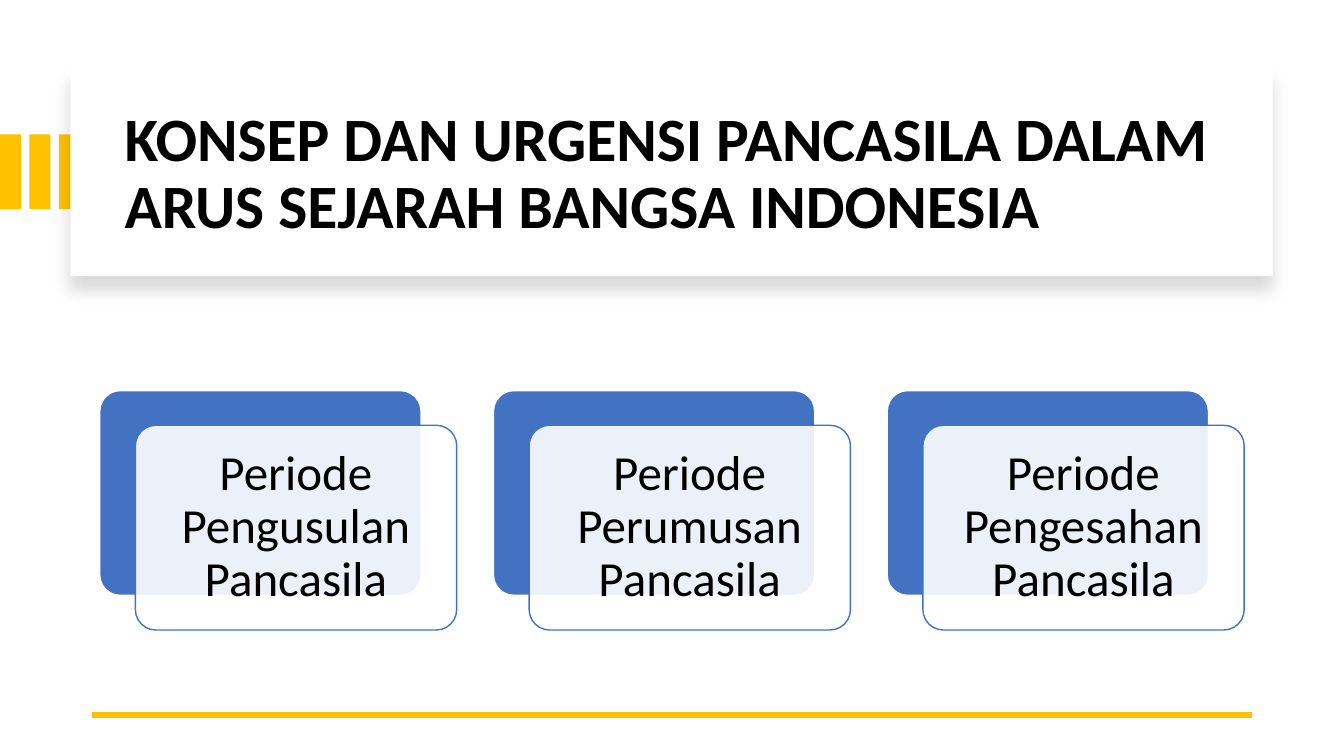
from dataclasses import dataclass

from lxml import etree
from pptx import Presentation
from pptx.dml.color import RGBColor
from pptx.enum.shapes import MSO_CONNECTOR, MSO_SHAPE
from pptx.enum.text import MSO_ANCHOR, MSO_AUTO_SIZE, PP_ALIGN
from pptx.oxml import parse_xml
from pptx.oxml.ns import nsdecls, qn
from pptx.util import Pt

EMU_PER_PX = 9525


@dataclass(frozen=True)
class Theme:
    font: str = "Calibri"
    ink: str = "000000"
    paper: str = "FFFFFF"
    accent: str = "FFC000"
    card: str = "4372C3"
    title_size: int = 44
    card_size: int = 35
    card_outline: int = 1
    rule_width: float = 4.5
    line_spacing: float = 0.9


def px(length):
    return length * EMU_PER_PX


class SlideBuilder:
    def __init__(self, slide, theme):
        self.slide = slide
        self.theme = theme

    def group(self):
        return self.slide.shapes.add_group_shape().shapes

    def box(self, shapes, kind, left, top, width, height, fill, line=None):
        box = shapes.add_shape(kind, px(left), px(top), px(width), px(height))
        box.shadow.inherit = False
        box.fill.solid()
        box.fill.fore_color.rgb = RGBColor.from_string(fill)
        if line:
            box.line.color.rgb = RGBColor.from_string(line)
            box.line.width = Pt(self.theme.card_outline)
        else:
            box.line.fill.background()
        return box

    def panel(self, left, top, width, height):
        panel = self.box(self.slide.shapes, MSO_SHAPE.RECTANGLE,
                         left, top, width, height, self.theme.paper)
        effects = panel.element.spPr.find(qn("a:effectLst"))
        effects.append(parse_xml(
            f'<a:outerShdw {nsdecls("a")} blurRad="{Pt(11)}" dist="{Pt(10)}" '
            f'dir="5400000" algn="t" rotWithShape="0">'
            f'<a:srgbClr val="{self.theme.ink}"><a:alpha val="15000"/></a:srgbClr>'
            f'</a:outerShdw>'))

    def title(self, text, left, top, width, height):
        title = self.slide.shapes.title
        # Bring the title in front of its panel
        self.slide.shapes.element.append(title.element)
        title.left, title.top = px(left), px(top)
        title.width, title.height = px(width), px(height)
        self.set_text(title.text_frame, text, self.theme.title_size, PP_ALIGN.LEFT, True)

    def rule(self, left, right, y):
        rule = self.slide.shapes.add_connector(
            MSO_CONNECTOR.STRAIGHT, px(right), px(y), px(left), px(y))
        rule.line.color.rgb = RGBColor.from_string(self.theme.accent)
        rule.line.width = Pt(self.theme.rule_width)
        etree.SubElement(rule.element.spPr, qn("a:effectLst"))

    def card(self, shapes, text, left, top, width, height, shift_x, shift_y):
        theme = self.theme
        back = self.box(shapes, MSO_SHAPE.ROUNDED_RECTANGLE,
                        left, top, width, height, theme.card, theme.paper)
        front = self.box(shapes, MSO_SHAPE.ROUNDED_RECTANGLE, left + shift_x,
                         top + shift_y, width, height, theme.paper, theme.card)
        for layer in (back, front):
            layer.adjustments[0] = 0.1
        # Let the back layer show through
        color = front.element.spPr.find(qn("a:solidFill")).find(qn("a:srgbClr"))
        etree.SubElement(color, qn("a:alpha"), val="90000")
        frame = front.text_frame
        frame.margin_left = frame.margin_right = px(14)
        frame.margin_top = frame.margin_bottom = px(14)
        self.set_text(frame, text, theme.card_size, PP_ALIGN.CENTER)

    def set_text(self, frame, text, size, align, bold=False):
        frame.text = text
        frame.word_wrap = True
        frame.auto_size = MSO_AUTO_SIZE.NONE
        frame.vertical_anchor = MSO_ANCHOR.MIDDLE
        paragraph = frame.paragraphs[0]
        paragraph.alignment = align
        paragraph.line_spacing = self.theme.line_spacing
        font = paragraph.runs[0].font
        font.name = self.theme.font
        font.size = Pt(size)
        font.bold = bold
        font.color.rgb = RGBColor.from_string(self.theme.ink)


def main():
    deck = Presentation()
    deck.slide_width, deck.slide_height = px(1280), px(720)
    theme = Theme()
    builder = SlideBuilder(deck.slides.add_slide(deck.slide_layouts[5]), theme)

    # Accent bars at the left edge
    bars = builder.group()
    for index in range(3):
        builder.box(bars, MSO_SHAPE.RECTANGLE, 28 * index, 128, 20, 71, theme.accent)

    # Title on its raised panel
    builder.panel(67, 64, 1145, 199)
    builder.title("KONSEP DAN URGENSI PANCASILA DALAM ARUS SEJARAH BANGSA INDONESIA",
                  109, 85, 1068, 163)

    # Bottom rule
    builder.rule(88, 1192, 681)

    # Three periods
    periods = builder.group()
    for index, stage in enumerate(("Pengusulan", "Perumusan", "Pengesahan")):
        builder.card(periods, f"Periode {stage} Pancasila",
                     95 + 375 * index, 372, 306, 195, 34, 33)

    deck.save("out.pptx")


if __name__ == "__main__":
    main()
